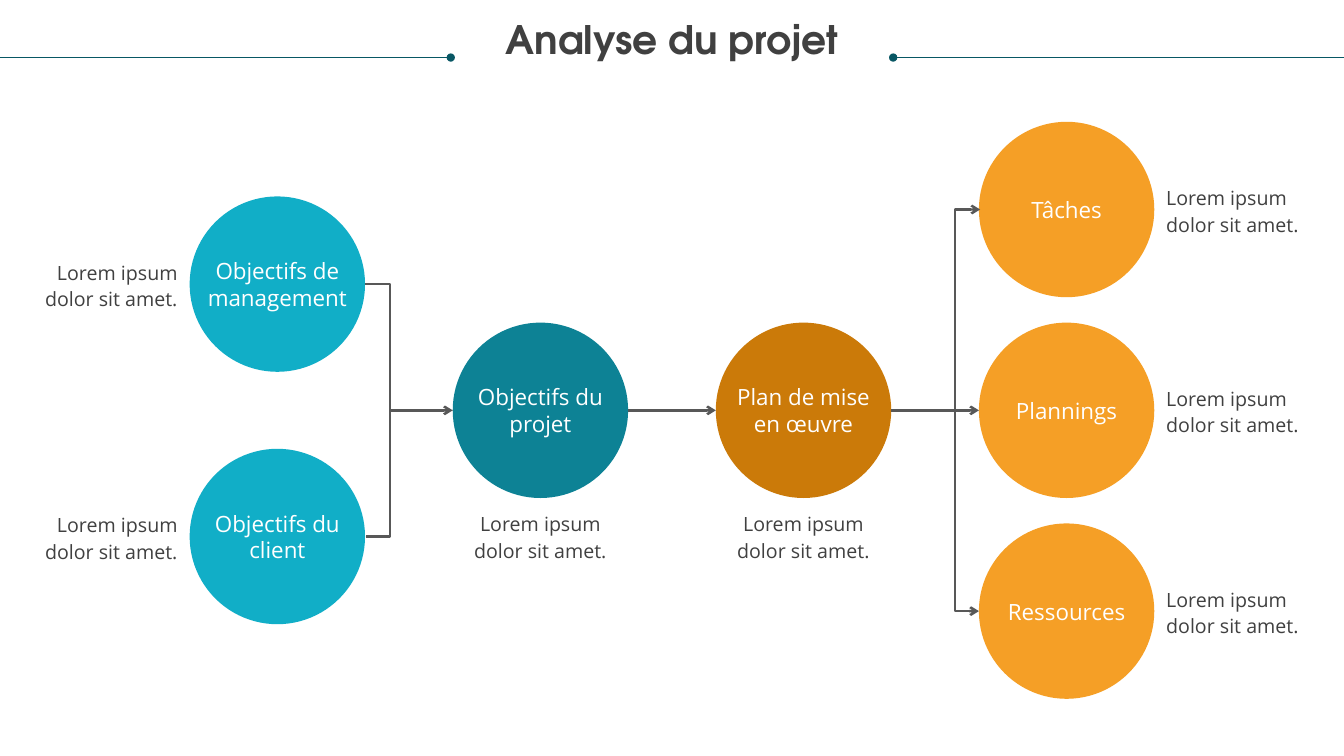
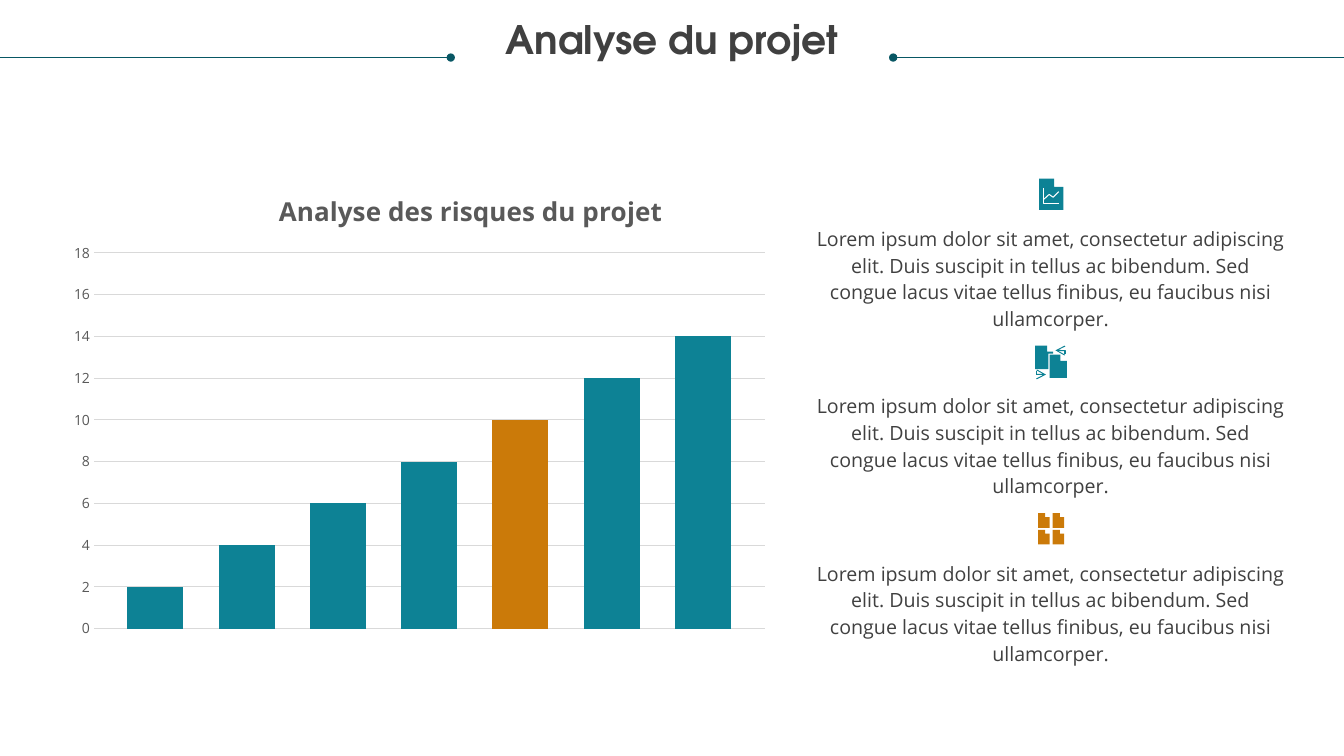
from dataclasses import dataclass
from itertools import product
from typing import Any, Optional

from lxml.etree import SubElement
from pptx import Presentation
from pptx.chart.data import CategoryChartData
from pptx.dml.color import RGBColor
from pptx.enum.chart import XL_CHART_TYPE, XL_TICK_MARK
from pptx.enum.shapes import MSO_CONNECTOR, MSO_SHAPE
from pptx.enum.text import MSO_ANCHOR, PP_ALIGN
from pptx.oxml.ns import qn
from pptx.util import Cm, Pt

# Shared look
TEAL, CYAN, ORANGE, AMBER = "0D8295", "11AEC7", "CB7A09", "F59F26"
RULE, LINK, INK, CHART_INK = "085764", "585858", "404040", "595959"
WHITE, GRID = "FFFFFF", "D9D9D9"
BODY_FONT = "Open Sans"
SLIDE_WIDTH, SLIDE_HEIGHT = 33.87, 19.05
TITLE = "Analyse du projet"


@dataclass
class TextStyle:
    font: dict[str, Any]
    color: str
    spacing: Any = None
    anchor: Any = MSO_ANCHOR.TOP


TITLE_STYLE = TextStyle({"name": "TeX Gyre Adventor", "size": Pt(28), "bold": True}, INK, 0.9)
LABEL_STYLE = TextStyle({"name": BODY_FONT, "size": Pt(16)}, WHITE, None, MSO_ANCHOR.MIDDLE)
CAPTION_STYLE = TextStyle({"name": BODY_FONT, "size": Pt(14)}, INK, Pt(19), MSO_ANCHOR.MIDDLE)
BODY_STYLE = TextStyle({"name": BODY_FONT, "size": Pt(14)}, INK, Pt(19))


@dataclass
class Link:
    start: tuple[float, float]
    end: tuple[float, float]
    color: str = LINK
    width: float = 1.75
    head: str = ""
    tail: str = ""
    bend: Optional[int] = None  # elbow position, in multiples of the width
    half_turn: bool = False


@dataclass
class Step:
    label: str
    x: float
    y: float
    color: str
    caption_x: float
    caption_y: float
    align: Any


@dataclass
class Outline:
    points: list[tuple[float, float]]
    color: str
    filled: bool = True
    tail: str = ""


# Drawing helpers
def rgb(color: str) -> RGBColor:
    return RGBColor.from_string(color)


def apply(target: Any, values: dict[str, Any]) -> None:
    for name, value in values.items():
        setattr(target, name, value)


def add_ends(shape: Any, head: str, tail: str) -> None:
    line = shape._element.spPr.find(qn("a:ln"))
    for tag, kind in (("a:headEnd", head), ("a:tailEnd", tail)):
        if kind:
            SubElement(line, qn(tag), type=kind)


def add_text(page: Any, text: str, left: float, top: float, width: float, height: float,
             style: TextStyle, align: Any = PP_ALIGN.CENTER) -> None:
    box = page.shapes.add_textbox(Cm(left), Cm(top), Cm(width), Cm(height))
    apply(box.text_frame, {"word_wrap": True, "vertical_anchor": style.anchor,
                           "margin_left": 0, "margin_right": 0,
                           "margin_top": 0, "margin_bottom": 0})
    para = box.text_frame.paragraphs[0]
    apply(para, {"alignment": align, "line_spacing": style.spacing})
    span = para.add_run()
    span.text = text
    apply(span.font, style.font)
    span.font.color.rgb = rgb(style.color)


def add_link(page: Any, link: Link) -> None:
    kind = MSO_CONNECTOR.STRAIGHT if link.bend is None else MSO_CONNECTOR.ELBOW
    connector = page.shapes.add_connector(kind, *(Cm(v) for v in link.start + link.end))
    connector.line.color.rgb = rgb(link.color)
    connector.line.width = Pt(link.width)
    add_ends(connector, link.head, link.tail)
    properties = connector._element.spPr
    SubElement(properties, qn("a:effectLst"))
    if link.bend is not None:
        adjustments = properties.find(qn("a:prstGeom")).find(qn("a:avLst"))
        SubElement(adjustments, qn("a:gd"), name="adj1", fmla=f"val {link.bend * 100000}")
    if link.half_turn:
        properties.find(qn("a:xfrm")).set("rot", "10800000")


def add_outline(page: Any, outline: Outline) -> None:
    points = [(Cm(x), Cm(y)) for x, y in outline.points]
    builder = page.shapes.build_freeform(*points[0])
    builder.add_line_segments(points[1:], close=outline.filled)
    shape = builder.convert_to_shape()
    shape.shadow.inherit = False
    if outline.filled:
        shape.fill.solid()
        shape.fill.fore_color.rgb = rgb(outline.color)
        shape.line.fill.background()
    else:
        shape.fill.background()
        shape.line.color.rgb = rgb(outline.color)
        shape.line.width = Pt(0.75)
        add_ends(shape, "", outline.tail)


def sheet(left: float, top: float, width: float, height: float, color: str) -> Outline:
    """A document with its top right corner folded."""
    fold_x, fold_y = left + 0.62 * width, top + 0.27 * height
    right, bottom = left + width, top + height
    return Outline([(left, top), (fold_x, top), (fold_x, fold_y), (right, fold_y),
                    (right, bottom), (left, bottom)], color)


def add_page(deck: Any) -> Any:
    page = deck.slides.add_slide(deck.slide_layouts[6])
    rule_y, rule_length = 1.45, 11.36
    add_link(page, Link((SLIDE_WIDTH - rule_length, rule_y), (SLIDE_WIDTH, rule_y),
                        RULE, 0.5, head="oval"))
    add_text(page, TITLE, 0.64, 0.53, 32.59, 1.85, TITLE_STYLE)
    add_link(page, Link((0, rule_y), (rule_length, rule_y), RULE, 0.5, tail="oval"))
    return page


def place(element: Any, index: int, **shares: float) -> None:
    """Give a chart part a fixed place, in shares of the chart."""
    for old in element.findall(qn("c:layout")):
        element.remove(old)
    layout = SubElement(element, qn("c:layout"))
    element.insert(index, layout)
    manual = SubElement(layout, qn("c:manualLayout"))
    if "w" in shares:
        SubElement(manual, qn("c:layoutTarget"), val="inner")
    for axis in "xy":
        SubElement(manual, qn(f"c:{axis}Mode"), val="edge")
    for name, share in shares.items():
        SubElement(manual, qn(f"c:{name}"), val=str(share))


deck = Presentation()
apply(deck, {"slide_width": Cm(SLIDE_WIDTH), "slide_height": Cm(SLIDE_HEIGHT)})

# Slide 1: flow of circles
page = add_page(deck)
DIAMETER = 4.42
RADIUS = DIAMETER / 2
COLUMNS = [6.99 + 6.63 * column for column in range(4)]
MIDDLE, GOAL_GAP, OUTPUT_GAP = 10.34, 3.18, 5.06
SIDE, BELOW = 4.38, 3.16
CAPTION = "Lorem ipsum dolor sit amet."

steps = [
    Step("Objectifs de management", COLUMNS[0], MIDDLE - GOAL_GAP, CYAN, -SIDE, 0, PP_ALIGN.RIGHT),
    Step("Objectifs du client", COLUMNS[0], MIDDLE + GOAL_GAP, CYAN, -SIDE, 0, PP_ALIGN.RIGHT),
    Step("Objectifs du projet", COLUMNS[1], MIDDLE, TEAL, 0, BELOW, PP_ALIGN.CENTER),
    Step("Plan de mise en œuvre", COLUMNS[2], MIDDLE, ORANGE, 0, BELOW, PP_ALIGN.CENTER),
]
steps += [Step(label, COLUMNS[3], MIDDLE + row * OUTPUT_GAP, AMBER, SIDE, 0, PP_ALIGN.LEFT)
          for row, label in enumerate(("Tâches", "Plannings", "Ressources"), start=-1)]

for step in steps:
    circle = page.shapes.add_shape(MSO_SHAPE.OVAL, Cm(step.x - RADIUS), Cm(step.y - RADIUS),
                                   Cm(DIAMETER), Cm(DIAMETER))
    circle.shadow.inherit = False
    circle.fill.solid()
    circle.fill.fore_color.rgb = rgb(step.color)
    circle.line.fill.background()

# Brackets and arrows between the circles
BEND, SLIVER = 21, 0.03
goals_edge, outputs_edge = COLUMNS[0] + RADIUS, COLUMNS[3] - RADIUS
add_link(page, Link((goals_edge, MIDDLE - GOAL_GAP), (goals_edge + SLIVER, MIDDLE + GOAL_GAP),
                    bend=BEND))
arrow_starts = [goals_edge + BEND * SLIVER, COLUMNS[1] + RADIUS, COLUMNS[2] + RADIUS]
for start, target in zip(arrow_starts, COLUMNS[1:]):
    add_link(page, Link((start, MIDDLE), (target - RADIUS, MIDDLE), tail="arrow"))
add_link(page, Link((outputs_edge, MIDDLE + OUTPUT_GAP),
                    (outputs_edge + SLIVER, MIDDLE - OUTPUT_GAP),
                    head="arrow", tail="arrow", bend=BEND, half_turn=True))

# Labels and captions
for step in steps:
    add_text(page, step.label, step.x - 1.9, step.y - 0.69, 3.8, 1.38, LABEL_STYLE)
    add_text(page, CAPTION, step.x + step.caption_x - 1.87, step.y + step.caption_y - 0.68,
             3.74, 1.36, CAPTION_STYLE, step.align)

# Slide 2: risk chart
page = add_page(deck)
risks = CategoryChartData()
risks.categories = ["1"]
for number in range(1, 8):
    risks.add_series(f"Series {number}", [2 * number])
chart = page.shapes.add_chart(XL_CHART_TYPE.COLUMN_CLUSTERED, Cm(1.45), Cm(4.19),
                              Cm(18.19), Cm(12.14), risks).chart
apply(chart, {"has_legend": False, "has_title": True})
apply(chart.font, {"name": BODY_FONT, "size": Pt(10)})

heading = chart.chart_title.text_frame.paragraphs[0].add_run()
heading.text = "Analyse des risques du projet"
apply(heading.font, {"name": BODY_FONT, "size": Pt(18.6), "bold": True})
heading.font.color.rgb = rgb(CHART_INK)

bars = chart.plots[0]
apply(bars, {"gap_width": 121, "overlap": -63, "vary_by_categories": False})
for series in bars.series:
    series.format.fill.solid()
    series.format.fill.fore_color.rgb = rgb(ORANGE if series.name == "Series 5" else TEAL)

chart.category_axis.visible = False
scale = chart.value_axis
apply(scale, {"minimum_scale": 0, "maximum_scale": 18, "major_unit": 2,
              "major_tick_mark": XL_TICK_MARK.NONE, "has_major_gridlines": True})
scale.format.line.fill.background()
scale.major_gridlines.format.line.color.rgb = rgb(GRID)
scale.major_gridlines.format.line.width = Pt(0.75)
apply(scale.tick_labels.font, {"name": BODY_FONT, "size": Pt(10)})
scale.tick_labels.font.color.rgb = rgb(CHART_INK)

place(chart.chart_title._element, 1, x=0.3, y=0.04)
place(chart._chartSpace.chart.plotArea, 0, x=0.05, y=0.18, w=0.93, h=0.78)

# Comments beside the chart
COMMENT = ("Lorem ipsum dolor sit amet, consectetur adipiscing elit. Duis suscipit in tellus "
           "ac bibendum. Sed congue lacus vitae tellus finibus, eu faucibus nisi ullamcorper.")
for row in range(3):
    add_text(page, COMMENT, 20.55, 5.64 + 4.22 * row, 11.86, 2, BODY_STYLE)

# Icons: report, exchanged files, set of files
report = [
    sheet(26.19, 4.5, 0.61, 0.79, TEAL),
    Outline([(26.3, 4.74), (26.3, 5.14), (26.68, 5.14)], WHITE, False),
    Outline([(26.31, 5.02), (26.44, 4.9), (26.54, 4.97), (26.68, 4.83)], WHITE, False),
]
exchange = [
    Outline([(26.09, 8.71), (26.39, 8.71), (26.39, 8.86), (26.54, 8.86), (26.54, 8.91),
             (26.42, 8.91), (26.42, 9.3), (26.09, 9.3)], TEAL),
    sheet(26.45, 8.94, 0.44, 0.58, TEAL),
    Outline([(26.84, 8.92), (26.84, 8.83), (26.6, 8.83)], TEAL, False, "arrow"),
    Outline([(26.12, 9.35), (26.12, 9.44), (26.36, 9.44)], TEAL, False, "arrow"),
]
files = [sheet(26.16 + 0.37 * column, 12.93 + 0.42 * row, 0.29, 0.37, ORANGE)
         for row, column in product(range(2), repeat=2)]
for outline in report + exchange + files:
    add_outline(page, outline)

deck.save("out.pptx")
